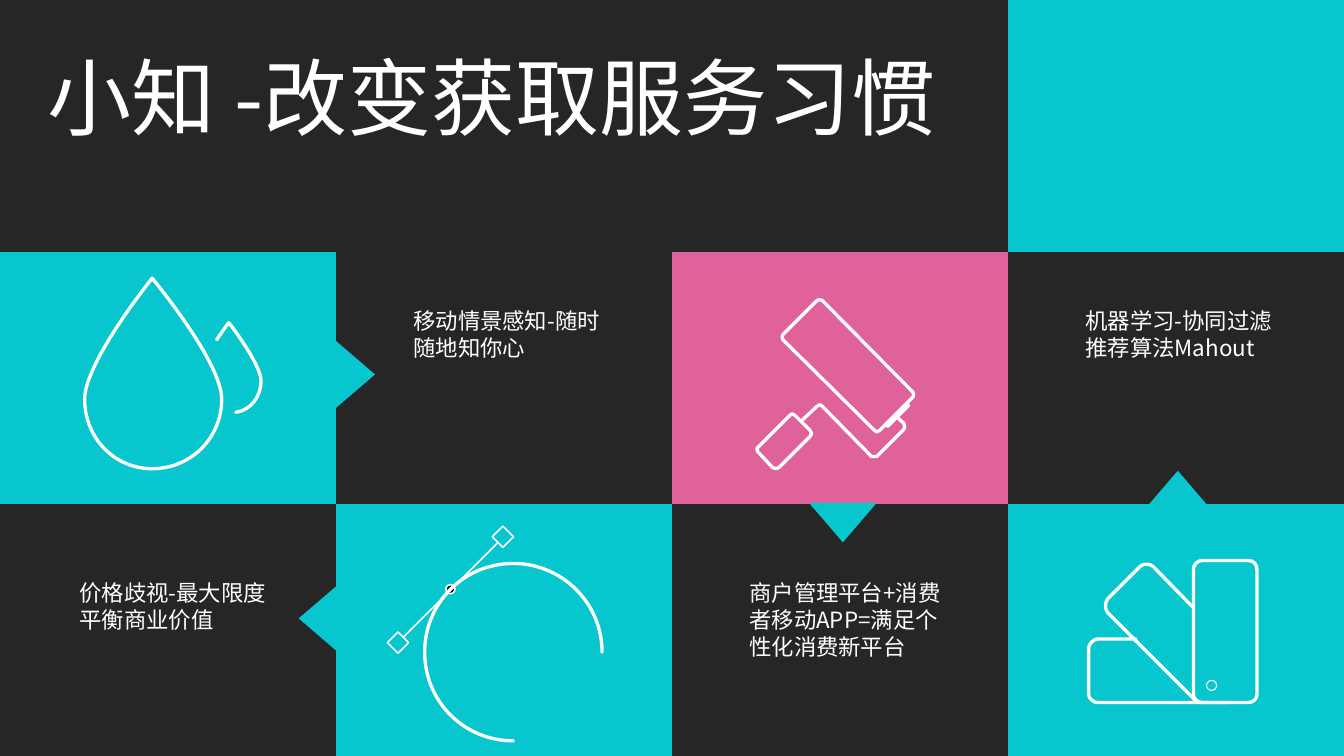
from dataclasses import dataclass

import pptx
import pptx.util
from pptx.dml.color import RGBColor
from pptx.enum.shapes import MSO_CONNECTOR, MSO_SHAPE
from pptx.enum.text import MSO_ANCHOR, MSO_AUTO_SIZE, PP_ALIGN
from pptx.oxml.ns import qn
from pptx.util import Inches


@dataclass(frozen=True)
class Theme:
    dark: str = "262626"
    teal: str = "07C6CE"
    pink: str = "DF629A"
    white: str = "FFFFFF"
    black: str = "000000"
    title_font: str = "Noto Sans CJK JP"
    body_font: str = "Noto Sans CJK SC"
    title_size: float = 60
    body_size: float = 16
    bold_line: float = 2.38
    fine_line: float = 1.13
    hair_line: float = 0.75


THEME = Theme()
CELL_WIDTH, CELL_HEIGHT = 40 / 12, 2.5
ROWS, COLUMNS = 3, 4
NO_GRID_STYLE = "{2D5ABB26-0587-4C30-8999-92F81FD0307C}"
FILLS = {(0, 3): THEME.teal, (1, 0): THEME.teal, (1, 2): THEME.pink,
         (2, 1): THEME.teal, (2, 3): THEME.teal}

# Outlines in inches from the cell corner: pairs are corners, sixes are Bézier curves.
DROPS = [
    ([(2.2, 1.46), (2.2, 1.85, 1.89, 2.15, 1.51, 2.15), (1.14, 2.15, 0.84, 1.85, 0.84, 1.46),
      (0.84, 1.09, 1.51, 0.26, 1.51, 0.26), (1.51, 0.26, 2.2, 1.09, 2.2, 1.46)], True),
    ([(2.15, 0.87), (2.21, 0.78, 2.27, 0.7, 2.27, 0.7),
      (2.27, 0.7, 2.59, 1.11, 2.59, 1.28), (2.59, 1.43, 2.49, 1.57, 2.34, 1.59)], False),
]
ROLLER = [
    ([(2.06, 1.77), (2.04, 1.79, 2.02, 1.79, 2.01, 1.77), (1.1, 0.87),
      (1.09, 0.86, 1.09, 0.83, 1.1, 0.82), (1.44, 0.48), (1.45, 0.47, 1.48, 0.47, 1.49, 0.48),
      (2.39, 1.39), (2.4, 1.41, 2.4, 1.42, 2.39, 1.44)], True),
    ([(2.21, 1.62), (2.3, 1.7), (2.31, 1.72, 2.31, 1.75, 2.3, 1.76), (2.03, 2.03),
      (2.02, 2.03, 2, 2.03, 1.98, 2.03), (1.49, 1.53), (1.48, 1.51, 1.45, 1.51, 1.44, 1.53),
      (1.28, 1.68)], False),
    ([(1.06, 2.14), (1.05, 2.15, 1.02, 2.15, 1, 2.14), (0.85, 1.98),
      (0.84, 1.97, 0.84, 1.94, 0.85, 1.94), (1.17, 1.62), (1.18, 1.6, 1.2, 1.6, 1.22, 1.62),
      (1.37, 1.77), (1.39, 1.79, 1.39, 1.81, 1.37, 1.83)], True),
]
ARC = [
    ([(1.76, 2.35), (1.27, 2.35, 0.88, 1.96, 0.88, 1.47), (0.88, 0.98, 1.27, 0.59, 1.76, 0.59),
      (2.24, 0.59, 2.64, 0.98, 2.64, 1.47)], False),
]
SWATCHES = [
    ([(1.27, 1.34), (0.89, 1.34), (0.85, 1.34, 0.8, 1.39, 0.8, 1.43), (0.8, 1.89),
      (0.8, 1.93, 0.85, 1.97, 0.89, 1.97), (2.17, 1.97)], False),
    ([(1.84, 1.03), (1.44, 0.62), (1.41, 0.59, 1.34, 0.59, 1.31, 0.62), (0.99, 0.94),
      (0.96, 0.98, 0.96, 1.04, 0.99, 1.08), (1.86, 1.95)], False),
    ([(2.38, 1.97), (2.44, 1.97, 2.47, 1.93, 2.47, 1.89), (2.47, 0.65),
      (2.47, 0.6, 2.44, 0.56, 2.38, 0.56), (1.93, 0.56), (1.88, 0.56, 1.84, 0.6, 1.84, 0.65),
      (1.84, 1.89), (1.84, 1.93, 1.88, 1.97, 1.93, 1.97)], True),
]


def color(value):
    return RGBColor.from_string(value)


def cell_corner(row, column):
    return column * CELL_WIDTH, row * CELL_HEIGHT


def write_text(frame, text, *, size, font):
    """Write one left-aligned, wrapping white paragraph at the top of a frame."""
    frame.word_wrap = True
    frame.auto_size = MSO_AUTO_SIZE.SHAPE_TO_FIT_TEXT
    frame.vertical_anchor = MSO_ANCHOR.TOP
    paragraph = frame.paragraphs[0]
    paragraph.alignment = PP_ALIGN.LEFT
    run = paragraph.add_run()
    run.text = text
    run.font.size = pptx.util.Pt(size)
    run.font.color.rgb = color(THEME.white)
    run.font.name = font
    properties = run._r.get_or_add_rPr()
    properties.append(properties.makeelement(qn("a:ea"), {"typeface": font}))


def style_line(shape, weight):
    """Give a shape a white line with round ends and joins."""
    shape.line.color.rgb = color(THEME.white)
    shape.line.width = pptx.util.Pt(weight)
    line = next(shape.element.iter(qn("a:ln")))
    line.set("cap", "rnd")
    line.append(line.makeelement(qn("a:round"), {}))


def bend_segments(shape, corner, segments):
    """Turn the straight segments that have control points into Bézier curves."""
    left, top = corner
    lines = list(shape.element.iter(qn("a:lnTo")))
    for line, segment in zip(lines, segments):
        if len(segment) == 2:
            continue
        curve = line.makeelement(qn("a:cubicBezTo"), {})
        for x, y in zip(segment[::2], segment[1::2]):
            curve.append(curve.makeelement(qn("a:pt"), {
                "x": str(Inches(left + x) - shape.left),
                "y": str(Inches(top + y) - shape.top)}))
        line.getparent().replace(line, curve)


def draw_outlines(slide, corner, outlines):
    left, top = corner
    for outline, closed in outlines:
        points = [(Inches(left + x), Inches(top + y))
                  for x, y in (segment[-2:] for segment in outline)]
        builder = slide.shapes.build_freeform(*points[0])
        builder.add_line_segments(points[1:], close=closed)
        shape = builder.convert_to_shape()
        bend_segments(shape, corner, outline[1:])
        shape.shadow.inherit = False
        shape.fill.background()
        style_line(shape, THEME.bold_line)


def draw_line(slide, corner, start, end, weight):
    left, top = corner
    line = slide.shapes.add_connector(
        MSO_CONNECTOR.STRAIGHT, Inches(left + start[0]), Inches(top + start[1]),
        Inches(left + end[0]), Inches(top + end[1]))
    style_line(line, weight)
    properties = line.element.spPr
    properties.append(properties.makeelement(qn("a:effectLst"), {}))


def draw_shape(slide, corner, kind, box, *, fill=None, weight=None, rotation=0):
    left, top = corner
    x, y, width, height = box
    shape = slide.shapes.add_shape(kind, Inches(left + x), Inches(top + y),
                                   Inches(width), Inches(height))
    shape.shadow.inherit = False
    shape.rotation = rotation
    if fill:
        shape.fill.solid()
        shape.fill.fore_color.rgb = color(fill)
    else:
        shape.fill.background()
    if weight:
        style_line(shape, weight)
    else:
        shape.line.fill.background()


def draw_tiles(slide):
    frame = slide.shapes.add_table(ROWS, COLUMNS, 0, 0, Inches(COLUMNS * CELL_WIDTH),
                                   Inches(ROWS * CELL_HEIGHT))
    table = frame.table
    table.first_row = table.horz_banding = False
    next(frame.element.iter(qn("a:tableStyleId"))).text = NO_GRID_STYLE
    for row in range(ROWS):
        for column in range(COLUMNS):
            fill = table.cell(row, column).fill
            if (row, column) in FILLS:
                fill.solid()
                fill.fore_color.rgb = color(FILLS[row, column])
            else:
                fill.background()
    table.cell(0, 0).merge(table.cell(0, 2))


def draw_title(slide, left, top, width, height):
    title = slide.shapes.title
    title.left, title.top = Inches(left), Inches(top)
    title.width, title.height = Inches(width), Inches(height)
    write_text(title.text_frame, "小知 -改变获取服务习惯",
               size=THEME.title_size, font=THEME.title_font)


def draw_caption(slide, corner, x, y, text, height=0.64):
    left, top = corner
    box = slide.shapes.add_textbox(Inches(left + x), Inches(top + y),
                                   Inches(2.1), Inches(height))
    write_text(box.text_frame, text, size=THEME.body_size, font=THEME.body_font)


def draw_roller(slide, corner):
    draw_outlines(slide, corner, ROLLER)
    draw_line(slide, corner, (2.35, 1.52), (2.14, 1.73), THEME.bold_line)


def draw_curve_tool(slide, corner):
    draw_line(slide, corner, (1.6, 0.39), (0.67, 1.32), THEME.fine_line)
    for x, y in ((1.55, 0.22), (0.51, 1.27)):
        draw_shape(slide, corner, MSO_SHAPE.DIAMOND, (x, y, 0.21, 0.21), weight=THEME.fine_line)
    for fill, weight in ((THEME.black, THEME.hair_line), (None, THEME.fine_line)):
        draw_shape(slide, corner, MSO_SHAPE.OVAL, (1.09, 0.8, 0.09, 0.09),
                   fill=fill, weight=weight)
    draw_outlines(slide, corner, ARC)


def draw_swatches(slide, corner):
    draw_outlines(slide, corner, SWATCHES)
    draw_shape(slide, corner, MSO_SHAPE.OVAL, (1.97, 1.75, 0.1, 0.1), weight=THEME.hair_line)


def main():
    presentation = pptx.Presentation()
    presentation.slide_width = Inches(COLUMNS * CELL_WIDTH)
    presentation.slide_height = Inches(ROWS * CELL_HEIGHT)
    slide = presentation.slides.add_slide(presentation.slide_layouts.get_by_name("Title Only"))
    slide.background.fill.solid()
    slide.background.fill.fore_color.rgb = color(THEME.dark)

    draw_tiles(slide)
    draw_title(slide, 0.37, 0.4, 9.13, 1.11)
    draw_roller(slide, cell_corner(1, 2))
    draw_outlines(slide, cell_corner(1, 0), DROPS)
    draw_curve_tool(slide, cell_corner(2, 1))
    draw_swatches(slide, cell_corner(2, 3))

    draw_caption(slide, cell_corner(1, 1), 0.67, 0.5, "移动情景感知-随时随地知你心")
    draw_caption(slide, cell_corner(2, 0), 0.69, 0.7, "价格歧视-最大限度平衡商业价值")
    draw_caption(slide, cell_corner(1, 3), 0.67, 0.5, "机器学习-协同过滤推荐算法Mahout")
    draw_caption(slide, cell_corner(2, 2), 0.67, 0.7,
                 "商户管理平台+消费者移动APP=满足个性化消费新平台", height=1.18)

    for cell, x, y, rotation in (((1, 0), 3.19, 1.02, 90), ((1, 2), 1.36, 2.49, 180),
                                 ((2, 1), -0.51, 0.94, 270), ((2, 3), 1.35, -0.33, 0)):
        draw_shape(slide, cell_corner(*cell), MSO_SHAPE.ISOSCELES_TRIANGLE,
                   (x, y, 0.67, 0.39), fill=THEME.teal, rotation=rotation)
    presentation.save("out.pptx")


if __name__ == "__main__":
    main()
